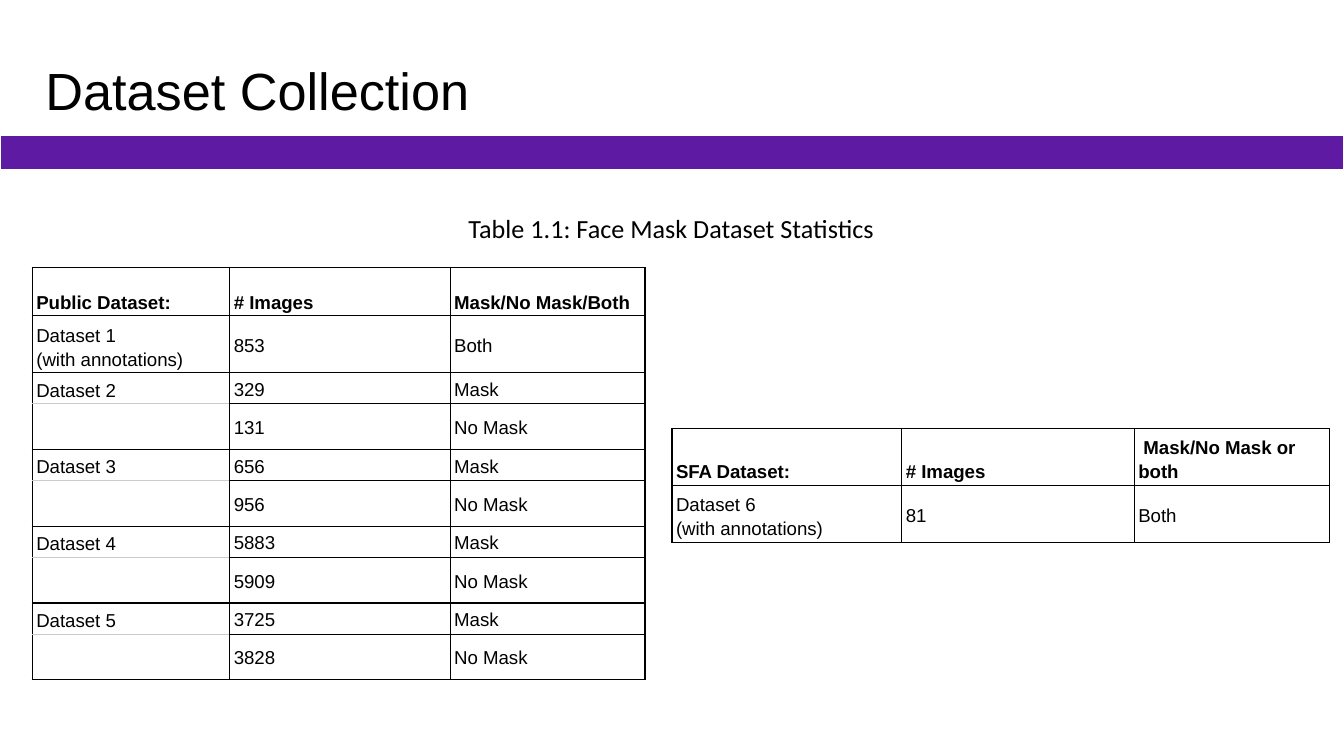
from dataclasses import dataclass

import pptx
import pptx.dml.color
import pptx.enum.shapes
import pptx.enum.text
import pptx.oxml
import pptx.text.text
import pptx.util
from pptx.oxml.ns import nsdecls

Inches, Pt = pptx.util.Inches, pptx.util.Pt
RGBColor = pptx.dml.color.RGBColor
Anchor = pptx.enum.text.MSO_ANCHOR
Align = pptx.enum.text.PP_ALIGN

BLACK = RGBColor(0, 0, 0)
WHITE = RGBColor(255, 255, 255)
GREY = RGBColor(0xCC, 0xCC, 0xCC)
PURPLE = RGBColor(0x5F, 0x1A, 0xA4)

WIDE = Inches(10)
HIGH = WIDE * 9 // 16

CELL = {
    "margin_left": Inches(0.03), "margin_right": Inches(0.03),
    "margin_top": Inches(0.02), "margin_bottom": Inches(0.02),
}


@dataclass
class Grid:
    left: float
    top: float
    cols: list[float]
    rows: list[float]
    cells: list[tuple[str, str, str]]


@dataclass
class Label:
    text: str
    box: tuple[float, float, float, float]
    font: str
    size: int
    align: Align
    anchor: Anchor
    pad: float


def pairs(*sets: tuple[str, str, str]) -> list[tuple[str, str, str]]:
    """Give each data set a masked row and an unmasked row."""
    rows = []
    for name, mask, bare in sets:
        rows += [(name, mask, "Mask"), ("", bare, "No Mask")]
    return rows


GRIDS = [
    Grid(
        0.24, 1.99, [1.47, 1.64, 1.45],
        [0.36, 0.22, 0.23, 0.27] + [0.22, 0.27] * 3,
        [
            ("Public Dataset:", "# Images", "Mask/No Mask/Both"),
            ("Dataset 1\n(with annotations)", "853", "Both"),
            *pairs(
                ("Dataset 2", "329", "131"),
                ("Dataset 3", "656", "956"),
                ("Dataset 4", "5883", "5909"),
                ("Dataset 5", "3725", "3828"),
            ),
        ],
    ),
    Grid(
        5, 3.19, [1.71, 1.73, 1.45], [0.22, 0.23],
        [
            ("SFA Dataset:", "# Images", " Mask/No Mask or both"),
            ("Dataset 6\n(with annotations)", "81", "Both"),
        ],
    ),
]

LABELS = [
    Label("Dataset Collection", (0.24, 0.2, 9, 0.94), "Arial", 28,
          Align.LEFT, Anchor.MIDDLE, 0.05),
    Label("Table 1.1: Face Mask Dataset Statistics", (2.99, 1.48, 4.01, 0.44),
          "Calibri", 14, Align.CENTER, Anchor.TOP, 0.1),
]


def style(item, values: dict) -> None:
    for key, value in values.items():
        setattr(item, key, value)


def set_font(font, name: str, size: int, bold: bool = False) -> None:
    style(font, {"name": name, "size": Pt(size), "bold": bold})
    font.color.rgb = BLACK


def set_edges(cell, top: RGBColor, base: RGBColor) -> None:
    props = cell._tc.get_or_add_tcPr()
    for side, color in zip("LRTB", (BLACK, BLACK, top, base)):
        props.append(pptx.oxml.parse_xml(
            f'<a:ln{side} {nsdecls("a")} w="{Pt(0.75)}"><a:solidFill>'
            f'<a:srgbClr val="{color}"/></a:solidFill></a:ln{side}>'
        ))
    cell.fill.background()


def fill_text(cell, text: str, bold: bool) -> None:
    """Write the text; an empty cell keeps an 18 point line."""
    cell.text = text
    for para in cell.text_frame.paragraphs:
        if text:
            para.line_spacing = 1.15
            set_font(para.runs[0].font, "Arial", 10, bold)
        else:
            mark = para._p.get_or_add_endParaRPr()
            set_font(pptx.text.text.Font(mark), "Arial", 18)


def add_grid(slide, grid: Grid) -> None:
    frame = slide.shapes.add_table(
        len(grid.rows), len(grid.cols), Inches(grid.left), Inches(grid.top),
        Inches(sum(grid.cols)), Inches(sum(grid.rows)),
    )
    table = frame.table
    style(table, {"first_row": False, "horz_banding": False})
    for col, width in zip(table.columns, grid.cols):
        col.width = Inches(width)
    for row, height in zip(table.rows, grid.rows):
        row.height = Inches(height)
    for r, texts in enumerate(grid.cells):
        for c, text in enumerate(texts):
            cell = table.cell(r, c)
            low = r == 0 or c == 0
            style(cell, CELL)
            cell.vertical_anchor = Anchor.BOTTOM if low else Anchor.MIDDLE
            # A grey line joins a name to the empty cell below it.
            split = r + 1 < len(grid.cells) and not grid.cells[r + 1][c]
            set_edges(cell, BLACK if text else GREY, GREY if split else BLACK)
            fill_text(cell, text, r == 0)


def add_label(slide, label: Label) -> None:
    frame = slide.shapes.add_textbox(*map(Inches, label.box)).text_frame
    style(frame, {
        "word_wrap": True, "vertical_anchor": label.anchor,
        "margin_left": Inches(0.1), "margin_right": Inches(0.1),
        "margin_top": Inches(label.pad), "margin_bottom": Inches(label.pad),
    })
    para = frame.paragraphs[0]
    style(para, {"text": label.text, "alignment": label.align})
    set_font(para.runs[0].font, label.font, label.size)


def add_band(slide) -> None:
    band = slide.shapes.add_shape(
        pptx.enum.shapes.MSO_SHAPE.RECTANGLE,
        Inches(0), Inches(1.01), WIDE, Inches(0.25),
    )
    band.shadow.inherit = False
    band.fill.solid()
    band.fill.fore_color.rgb = PURPLE
    band.line.color.rgb = WHITE
    band.line.width = Pt(0.75)


def main() -> None:
    deck = pptx.Presentation()
    style(deck, {"slide_width": WIDE, "slide_height": HIGH})
    slide = deck.slides.add_slide(deck.slide_layouts[6])
    title, note = LABELS
    add_label(slide, title)
    for grid in GRIDS:
        add_grid(slide, grid)
    add_band(slide)
    add_label(slide, note)
    deck.save("out.pptx")


if __name__ == "__main__":
    main()
